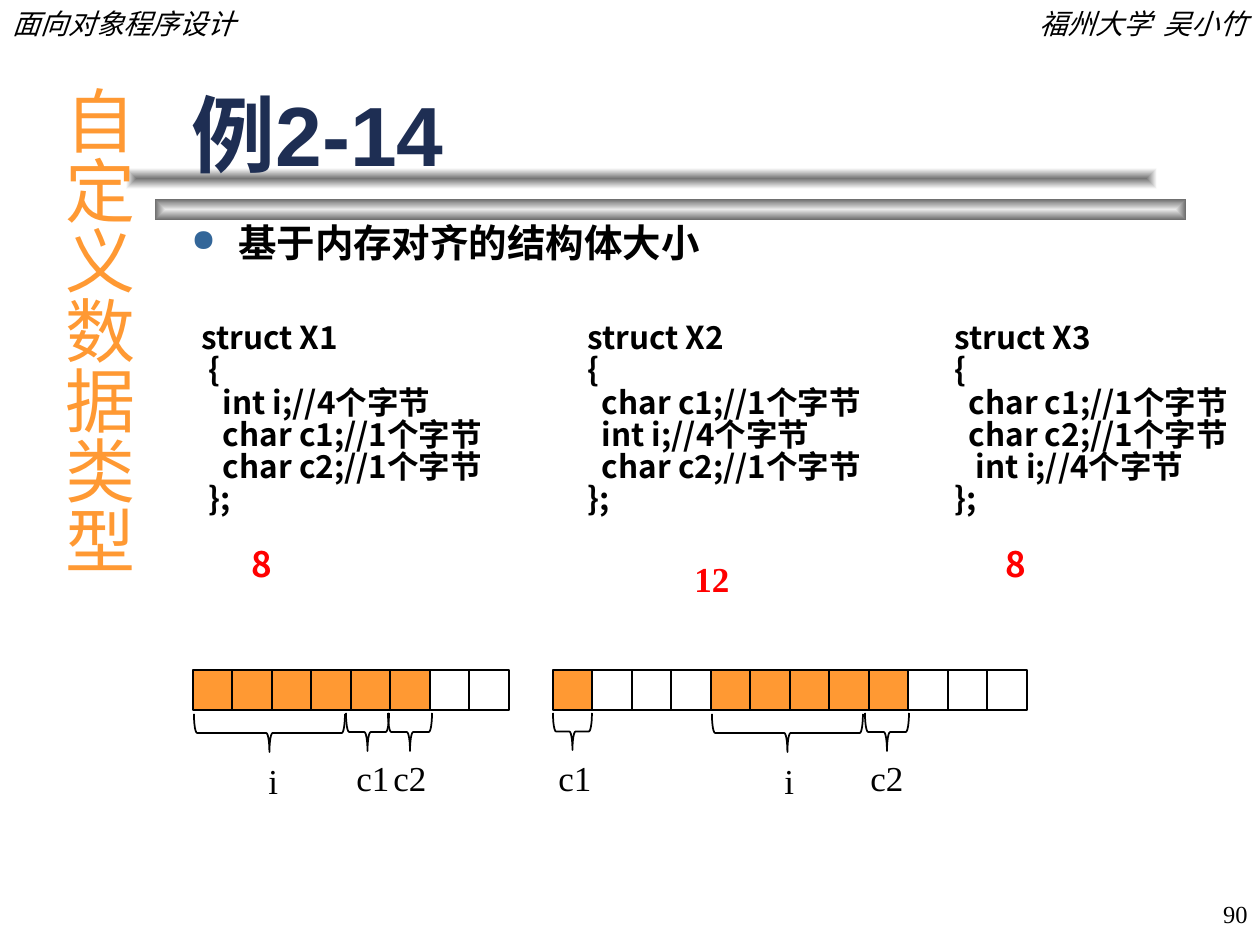
from lxml.etree import SubElement
from pptx import Presentation
from pptx.dml.color import RGBColor
from pptx.enum.shapes import MSO_SHAPE as Shape
from pptx.enum.text import MSO_ANCHOR as Anchor, PP_ALIGN as Align
from pptx.oxml.ns import qn
from pptx.util import Emu, Pt

SCALE = 914400 / 126
COLORS = {
    "black": "000000", "white": "FFFFFF", "navy": "1E2E53", "blue": "336699",
    "orange": "FF9933", "red": "FF0000", "pale": "EAEAEA", "grey": "6C6C6C",
    "steel": "767676",
}
SERIF = "Times New Roman"
SANS = "Noto Sans CJK SC"
TITLE = "Arial"

BARS = [
    ((155, 199, 1031, 21), "pale", "grey"),
    ((126, 168, 1031, 21), "steel", "white"),
]
HEADS = [
    ((0, 0, 388, 47), "面向对象程序设计", Align.LEFT),
    ((872, 0, 388, 47), "福州大学  吴小竹", Align.RIGHT),
]
CODES = [
    ((189, 318, 314, 316), "8", SANS, 50, 18, 0.85, [
        "struct X1", " {", "   int i;//4个字节", "   char c1;//1个字节",
        "   char c2;//1个字节", " };"]),
    ((568, 318, 318, 290), "12", SERIF, 114, 23, 1, [
        " struct X2", " {", "   char c1;//1个字节", "   int i;//4个字节",
        "   char c2;//1个字节", " };"]),
    ((942, 318, 309, 316), "8", SANS, 51, 18, 0.85, [
        "struct X3", "{", "  char c1;//1个字节", "  char c2;//1个字节",
        "   int i;//4个字节", "};"]),
]
ROWS = [(193, "######.."), (553, "#...#####...")]
BRACES = [
    ((194, 714, 151, 38), "i", (256, 753, 34, 55)),
    ((346, 713, 43, 38), "c1", (344, 750, 58, 55)),
    ((388, 713, 44, 38), "c2", (381, 750, 58, 55)),
    ((553, 713, 39, 37), "c1", (546, 750, 58, 55)),
    ((712, 714, 151, 38), "i", (772, 753, 34, 55)),
    ((865, 713, 44, 38), "c2", (858, 750, 58, 55)),
]


def px(num):
    return Emu(round(num * SCALE))


def rgb(name):
    return RGBColor.from_string(COLORS[name])


def write(para, text, size, face, color="black", bold=False, slant=False):
    run = para.add_run()
    run.text = text
    font = run.font
    font.size, font.name = Pt(size), face
    font.bold, font.italic = bold, slant
    font.color.rgb = rgb(color)
    SubElement(run.font._element, qn("a:ea"), typeface=SANS)


def add_box(slide, rect, wrap=True):
    box = slide.shapes.add_textbox(*map(px, rect))
    box.text_frame.word_wrap = wrap
    return box


def add_label(slide, rect, text, size, align=Align.LEFT, wrap=True, slant=False):
    frame = add_box(slide, rect, wrap).text_frame
    para = frame.paragraphs[0]
    para.alignment = align
    write(para, text, size, SERIF, slant=slant)
    return frame


def add_bar(slide, rect, core, edge):
    bar = slide.shapes.add_shape(Shape.RECTANGLE, *map(px, rect))
    bar.shadow.inherit = False
    bar.line.fill.background()
    bar.fill.gradient()
    for stop, name, at in zip(bar.fill.gradient_stops, (core, edge), (0, 1)):
        stop.color.rgb = rgb(name)
        stop.position = at
    grad = bar.element.spPr.find(qn("a:gradFill"))
    grad.remove(grad.find(qn("a:lin")))
    shade = SubElement(grad, qn("a:path"))
    shade.set("path", "rect")
    SubElement(shade, qn("a:fillToRect"), l="50000", t="50000", r="50000", b="50000")


def set_title(slide, text):
    title = slide.shapes.title
    title.left, title.top, title.width, title.height = map(px, (179, 32, 987, 158))
    slide.shapes.element.append(title.element)
    frame = title.text_frame
    frame.vertical_anchor = Anchor.BOTTOM
    para = frame.paragraphs[0]
    para.alignment = Align.LEFT
    write(para, text, 48, TITLE, "navy", bold=True)


def add_point(slide, rect, text):
    para = add_box(slide, rect).text_frame.paragraphs[0]
    para.line_spacing = 0.85
    props = para._p.get_or_add_pPr()
    props.set("marL", str(px(47)))
    props.set("indent", str(px(-47)))
    tint = SubElement(props, qn("a:buClr"))
    SubElement(tint, qn("a:srgbClr"), val=COLORS["blue"])
    SubElement(props, qn("a:buSzPct"), val="80000")
    SubElement(props, qn("a:buChar"), char="●")
    write(para, text, 22, SANS, bold=True)


def add_side(slide, rect, text):
    box = add_box(slide, rect)
    frame = box.text_frame
    frame.margin_left = frame.margin_right = px(6)
    frame.margin_top = frame.margin_bottom = px(13)
    box.element.txBody.bodyPr.set("vert", "eaVert")
    para = frame.paragraphs[0]
    para.alignment = Align.CENTER
    write(para, text, 40, SANS, "orange")


def add_code(slide, rect, total, face, indent, gap, space, lines):
    frame = add_box(slide, rect, False).text_frame
    for num, line in enumerate(lines):
        para = frame.add_paragraph() if num else frame.paragraphs[0]
        para.line_spacing = 0.85
        write(para, line, 18, SANS, bold=True)
    para = frame.add_paragraph()
    para.line_spacing = space
    para.space_before = Pt(gap)
    para._p.get_or_add_pPr().set("marL", str(px(indent)))
    write(para, total, 20, face, "red", bold=True)


def add_row(slide, left, cells):
    for num, mark in enumerate(cells):
        start, end = (left + 79 * step // 2 for step in (num, num + 1))
        cell = slide.shapes.add_shape(
            Shape.RECTANGLE, *map(px, (start, 670, end - start, 40)))
        cell.shadow.inherit = False
        cell.fill.solid()
        cell.fill.fore_color.rgb = rgb("orange" if mark == "#" else "white")
        cell.line.color.rgb = rgb("black")
        cell.line.width = Pt(1)


def add_brace(slide, rect):
    left, top, width, height = rect
    shift = (width - height) / 2
    brace = slide.shapes.add_shape(
        Shape.LEFT_BRACE, *map(px, (left + shift, top - shift, height, width)))
    brace.rotation = 270
    brace.shadow.inherit = False
    brace.fill.background()
    brace.line.color.rgb = rgb("black")
    brace.line.width = Pt(1)


def main():
    deck = Presentation()
    deck.slide_width, deck.slide_height = px(1260), px(945)
    slide = deck.slides.add_slide(deck.slide_layouts[5])
    for bar in BARS:
        add_bar(slide, *bar)
    for rect, text, align in HEADS:
        add_label(slide, rect, text, 16, align, slant=True)
    page = add_label(slide, (998, 882, 262, 63), "90", 14, Align.RIGHT)
    page.vertical_anchor = Anchor.MIDDLE
    set_title(slide, "例2-14")
    add_point(slide, (179, 220, 998, 683), "基于内存对齐的结构体大小")
    add_side(slide, (38, 73, 108, 788), "自定义数据类型")
    for code in CODES:
        add_code(slide, *code)
    for row in ROWS:
        add_row(slide, *row)
    for rect, name, spot in BRACES:
        add_brace(slide, rect)
        add_label(slide, spot, name, 20, wrap=False)
    deck.save("out.pptx")


if __name__ == "__main__":
    main()
